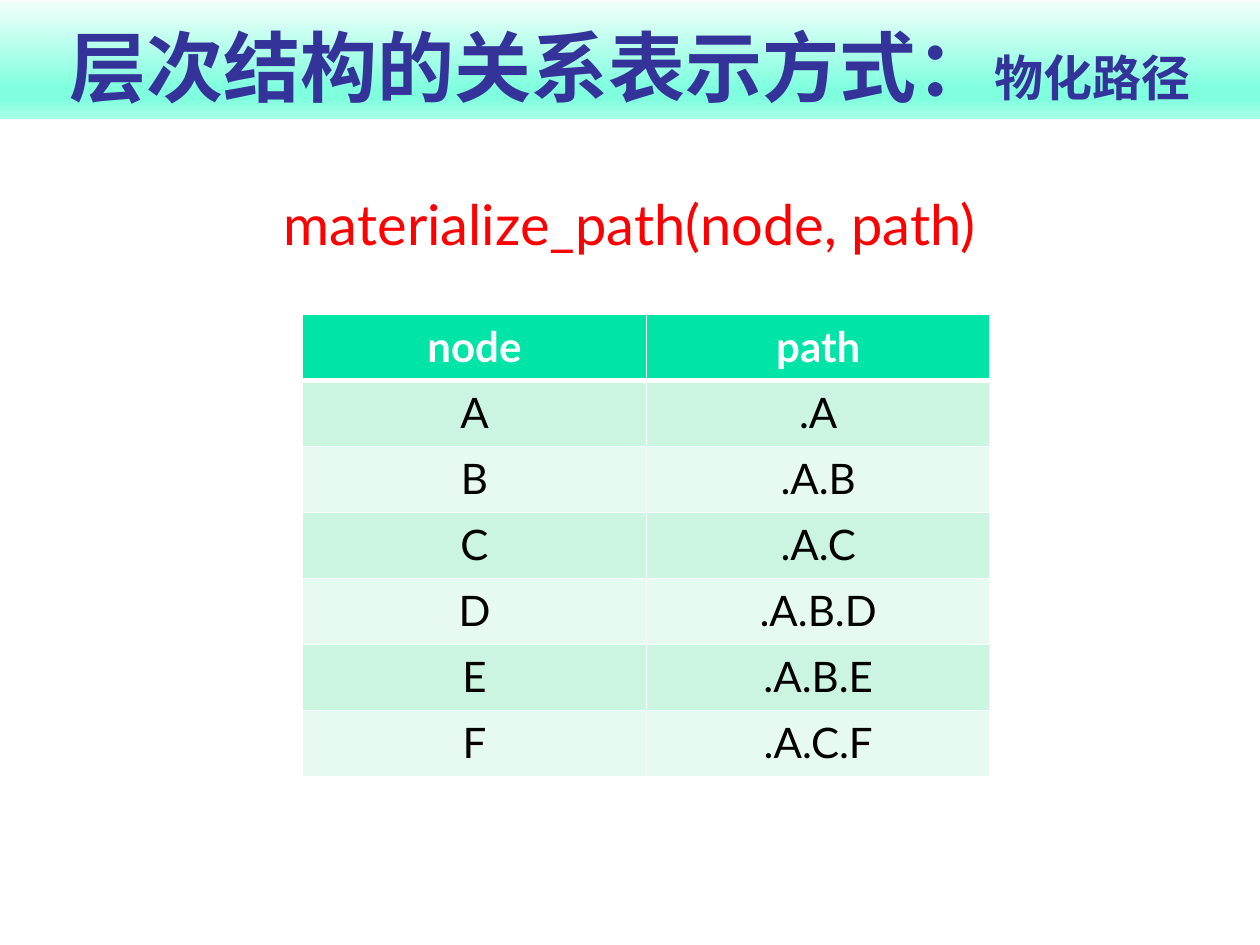
from lxml.etree import SubElement
from pptx import Presentation
from pptx.dml.color import RGBColor
from pptx.enum.shapes import MSO_SHAPE as Shape
from pptx.enum.text import MSO_ANCHOR as Anchor, PP_ALIGN as Align
from pptx.oxml.ns import qn
from pptx.util import Cm, Pt

FONT = "Lato"
WHITE, BLACK, RED, INDIGO = "FFFFFF", "000000", "FF0000", "333399"
HEADER_FILL, BAND_FILLS = "00E4A8", ("CCF5E1", "E7FAF1")
TITLE_STOPS = ((0, "F1FFFB"), (74, "80FFDE"), (83, "80FFDE"), (100, "AAFFE9"))
PATHS = (
    ("node", "path"),
    ("A", ".A"),
    ("B", ".A.B"),
    ("C", ".A.C"),
    ("D", ".A.B.D"),
    ("E", ".A.B.E"),
    ("F", ".A.C.F"),
)


def color(hex_string):
    return RGBColor.from_string(hex_string)


def add_text(para, text, *, size, ink, bold=False):
    """Add a centred span of text to a paragraph."""
    para.alignment = Align.CENTER
    span = para.add_run()
    span.text = text
    span.font.name = FONT
    span.font.size = Pt(size)
    span.font.bold = bold
    span.font.color.rgb = color(ink)


def set_gradient(shape, stops):
    """Fill a shape from top to bottom with (percent, colour) stops."""
    shape.fill.gradient()
    shape.fill.gradient_angle = 270
    stop_list = next(shape.element.iter(qn("a:gsLst")))
    for stop in list(stop_list):
        stop_list.remove(stop)
    for percent, hex_string in stops:
        stop = SubElement(stop_list, qn("a:gs"), pos=str(percent * 1000))
        SubElement(stop, qn("a:srgbClr"), val=hex_string)


def set_borders(cell, hex_string, **widths):
    """Draw cell borders; widths in points are keyed L, R, T, B in that order."""
    properties = cell._tc.get_or_add_tcPr()
    for side, width in widths.items():
        line = SubElement(properties, qn(f"a:ln{side}"), w=str(Pt(width)))
        fill = SubElement(line, qn("a:solidFill"))
        SubElement(fill, qn("a:srgbClr"), val=hex_string)


class SlideBuilder:
    def __init__(self, slide, ink):
        self.shapes = slide.shapes
        self.ink = ink

    def title_bar(self, spans, left, top, width, height):
        bar = self.shapes.add_shape(
            Shape.RECTANGLE, Cm(left), Cm(top), Cm(width), Cm(height))
        bar.shadow.inherit = False
        bar.line.fill.background()
        set_gradient(bar, TITLE_STOPS)
        bar.text_frame.word_wrap = True
        bar.text_frame.vertical_anchor = Anchor.BOTTOM
        for text, size in spans:
            add_text(bar.text_frame.paragraphs[0], text,
                     size=size, ink=INDIGO, bold=True)

    def text_box(self, text, left, top, width, height, **style):
        box = self.shapes.add_textbox(Cm(left), Cm(top), Cm(width), Cm(height))
        box.text_frame.word_wrap = True
        add_text(box.text_frame.paragraphs[0], text, **style)

    def table(self, rows, left, top, column_width, row_height, size):
        columns = len(rows[0])
        table = self.shapes.add_table(
            len(rows), columns, Cm(left), Cm(top),
            Cm(column_width * columns), Cm(row_height * len(rows))).table
        for column in table.columns:
            column.width = Cm(column_width)
        for index, values in enumerate(rows):
            table.rows[index].height = Cm(row_height)
            header = index == 0
            fill = HEADER_FILL if header else BAND_FILLS[(index - 1) % 2]
            for column, text in enumerate(values):
                cell = table.cell(index, column)
                set_borders(cell, WHITE, L=1, R=1,
                            T=3 if index == 1 else 1, B=3 if header else 1)
                cell.fill.solid()
                cell.fill.fore_color.rgb = color(fill)
                add_text(cell.text_frame.paragraphs[0], text, size=size,
                         ink=WHITE if header else self.ink, bold=header)


def main():
    deck = Presentation()
    deck.slide_width, deck.slide_height = Cm(25.4), Cm(19.05)
    page = SlideBuilder(deck.slides.add_slide(deck.slide_layouts[6]), BLACK)
    page.title_bar((("层次结构的关系表示方式：", 44), ("物化路径", 28)),
                   0, 0.03, 25.4, 2.36)
    page.text_box("materialize_path(node, path)", 3.8, 3.7, 17.8, 1.62,
                  size=32, ink=RED)
    page.table(PATHS, 6.1, 6.34, column_width=6.93, row_height=1.33, size=24)
    deck.save("out.pptx")


if __name__ == "__main__":
    main()
